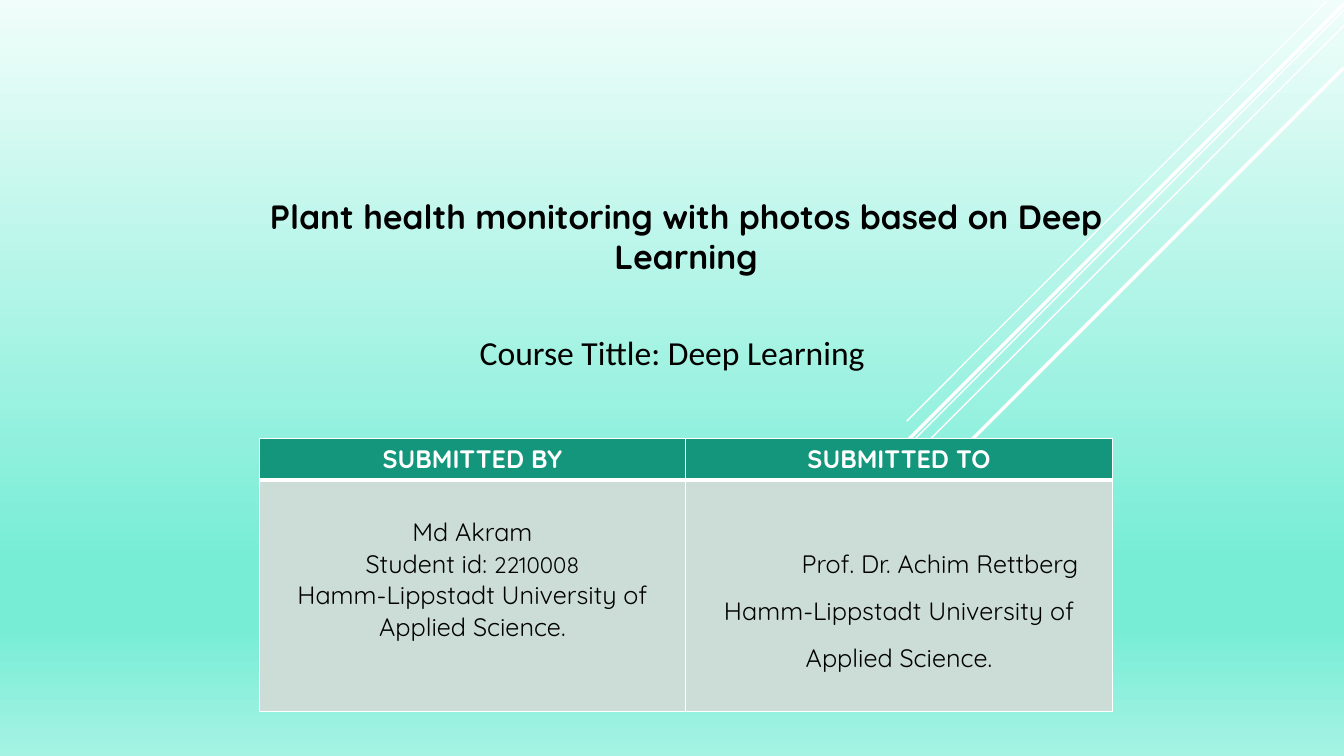
from dataclasses import dataclass

from lxml import etree
from pptx import Presentation
from pptx.dml.color import RGBColor
from pptx.enum.shapes import MSO_CONNECTOR
from pptx.enum.text import MSO_ANCHOR, MSO_AUTO_SIZE, PP_ALIGN
from pptx.oxml.ns import qn
from pptx.util import Cm, Pt

STRAIGHT = MSO_CONNECTOR.STRAIGHT
CENTER = PP_ALIGN.CENTER
MIDDLE, TOP = MSO_ANCHOR.MIDDLE, MSO_ANCHOR.TOP
NO_FIT = MSO_AUTO_SIZE.NONE


@dataclass(frozen=True)
class Theme:
    ink: str = "000000"
    white: str = "FFFFFF"
    header: str = "14967C"
    panel: str = "CCDDD7"
    gradient: tuple = ((0, "F0FDFA"), (74, "78EDD6"), (83, "78EDD6"), (100, "A5F3E3"))
    heading_font: str = "Quicksand"
    course_font: str = "Calibri"
    title_size: int = 24
    table_size: int = 18
    id_size: int = 16
    thin: float = 1
    thick: float = 2.5
    header_rule: float = 3


THEME = Theme()


def apply_format(target, values):
    for attribute, value in values.items():
        setattr(target, attribute, value)


def write_runs(paragraph, runs, font_name, color, bold=False):
    apply_format(paragraph, {"alignment": CENTER, "space_before": Pt(0)})
    for text, size in runs:
        run = paragraph.add_run()
        run.text = text
        apply_format(run.font, {"name": font_name, "size": Pt(size), "bold": bold})
        run.font.color.rgb = RGBColor.from_string(color)


def paint_background(slide):
    fill = slide.background.fill
    fill.gradient()
    fill.gradient_angle = 270
    stops = slide.element.find(".//" + qn("a:gsLst"))
    for stop in list(stops):
        stops.remove(stop)
    for percent, color in THEME.gradient:
        stop = etree.SubElement(stops, qn("a:gs"), pos=str(percent * 1000))
        etree.SubElement(stop, qn("a:srgbClr"), val=color)


def draw_rays(slide, box):
    left, top, width, _ = box
    right = left + width
    rays = (
        (0.44, 0.03, 10.58, THEME.thin),
        (0, 0.25, 16.89, THEME.thin),
        (0, 0.64, 13.77, THEME.thin),
        (0, 0.1, 13.47, THEME.thick),
        (0, 1.7, 12.07, THEME.thick),
    )
    for layer, (inset, drop, reach, weight) in enumerate(rays, start=2):
        start_x, start_y = right - inset, top + drop
        ray = slide.shapes.add_connector(
            STRAIGHT, Cm(start_x), Cm(start_y), Cm(start_x - reach), Cm(start_y + reach)
        )
        ray.line.color.rgb = RGBColor.from_string(THEME.white)
        ray.line.width = Pt(weight)
        etree.SubElement(ray.element.spPr, qn("a:effectLst"))
        slide.shapes.element.insert(layer, ray.element)


def place_heading(heading, box, text, font_name, bold=False):
    apply_format(heading, dict(zip(("left", "top", "width", "height"), map(Cm, box))))
    frame = heading.text_frame
    apply_format(frame, {"word_wrap": True, "auto_size": NO_FIT, "vertical_anchor": MIDDLE})
    write_runs(frame.paragraphs[0], [(text, THEME.title_size)], font_name, THEME.ink, bold)


def style_cell(cell, color, bottom_rule):
    properties = cell._tc.get_or_add_tcPr()
    rules = {"L": THEME.thin, "R": THEME.thin, "T": THEME.thin, "B": bottom_rule}
    for side, weight in rules.items():
        border = etree.SubElement(properties, qn("a:ln" + side), w=str(Pt(weight)))
        solid = etree.SubElement(border, qn("a:solidFill"))
        etree.SubElement(solid, qn("a:srgbClr"), val=THEME.white)
    cell.fill.solid()
    cell.fill.fore_color.rgb = RGBColor.from_string(color)


def build_submission_table(slide, box):
    left, top, width, height = box
    header_height = 1.04
    size = THEME.table_size
    university = [("Hamm-Lippstadt University of Applied Science.", size)]
    student = [
        [("Md Akram", size)],
        [("Student id: ", size), ("2210008", THEME.id_size)],
        university,
    ]
    professor = [[("Prof. Dr. Achim Rettberg", size)], university]
    columns = (
        ("SUBMITTED BY", student, 0.91, 1.0, 0),
        ("SUBMITTED TO", professor, 1.31, 1.5, 2.07),
    )
    table = slide.shapes.add_table(
        2, len(columns), Cm(left), Cm(top), Cm(width), Cm(height)
    ).table
    table.rows[0].height = Cm(header_height)
    table.rows[1].height = Cm(height - header_height)
    for index, (label, details, inset, spacing, first_indent) in enumerate(columns):
        table.columns[index].width = Cm(width / len(columns))
        header, body = table.cell(0, index), table.cell(1, index)
        style_cell(header, THEME.header, THEME.header_rule)
        style_cell(body, THEME.panel, THEME.thin)
        header_line = header.text_frame.paragraphs[0]
        write_runs(header_line, [(label, size)], THEME.heading_font, THEME.white, True)
        apply_format(body, {"margin_top": Cm(inset), "vertical_anchor": TOP})
        frame = body.text_frame
        for row, runs in enumerate(details):
            paragraph = frame.add_paragraph() if row else frame.paragraphs[0]
            write_runs(paragraph, runs, THEME.heading_font, THEME.ink)
            paragraph.line_spacing = spacing
        frame.paragraphs[0]._p.get_or_add_pPr().set("marL", str(Cm(first_indent)))


def build_title_slide(presentation, box):
    left, top, _, _ = box
    slide = presentation.slides.add_slide(presentation.slide_layouts[0])
    paint_background(slide)
    draw_rays(slide, box)
    place_heading(
        slide.shapes.title,
        (left + 6.15, top + 4.8, 22.28, 2.31),
        "Plant health monitoring with photos based on Deep Learning",
        THEME.heading_font,
        True,
    )
    place_heading(
        slide.placeholders[1],
        (left + 5.46, top + 8.23, 22.96, 1.27),
        "Course Tittle: Deep Learning",
        THEME.course_font,
    )
    build_submission_table(slide, (left + 6.53, top + 11.05, 21.5, 6.86))


def main():
    presentation = Presentation()
    width, height = 33.87, 19.05
    apply_format(presentation, {"slide_width": Cm(width), "slide_height": Cm(height)})
    build_title_slide(presentation, (0, 0, width, height))
    presentation.save("out.pptx")


if __name__ == "__main__":
    main()
